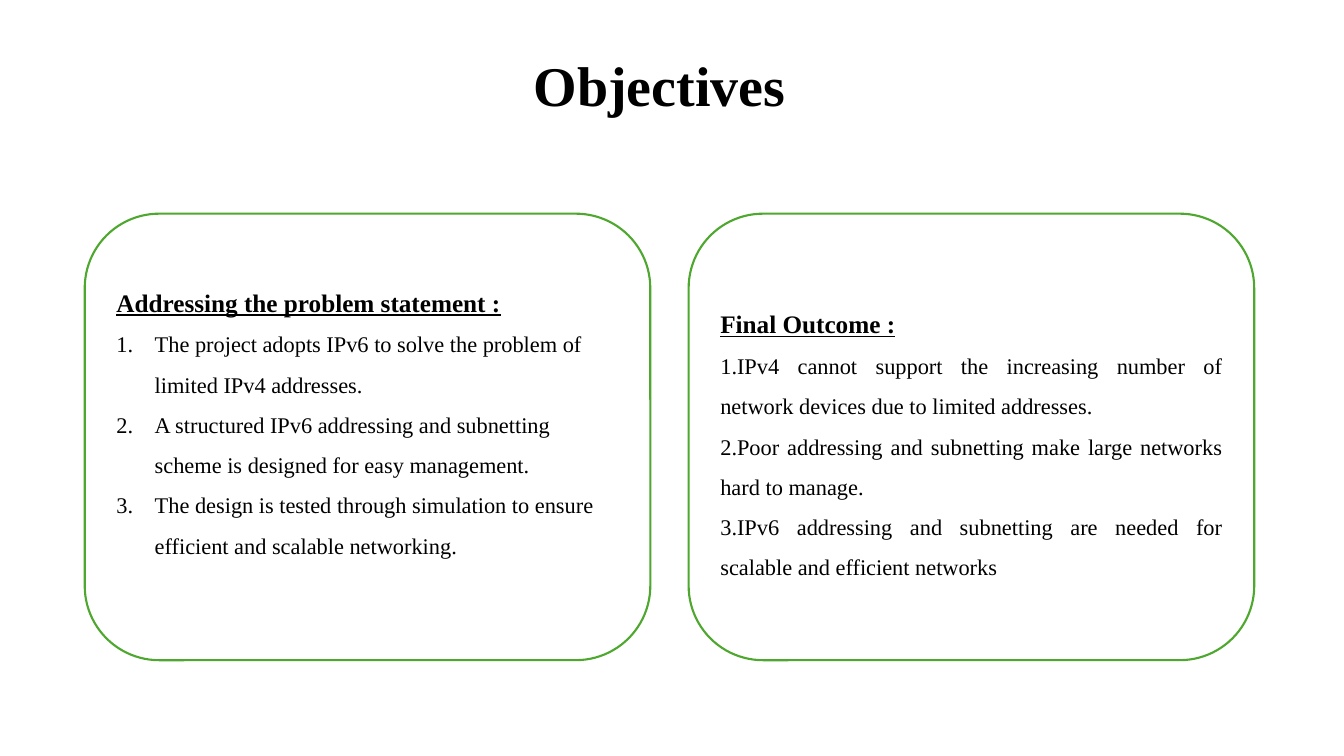
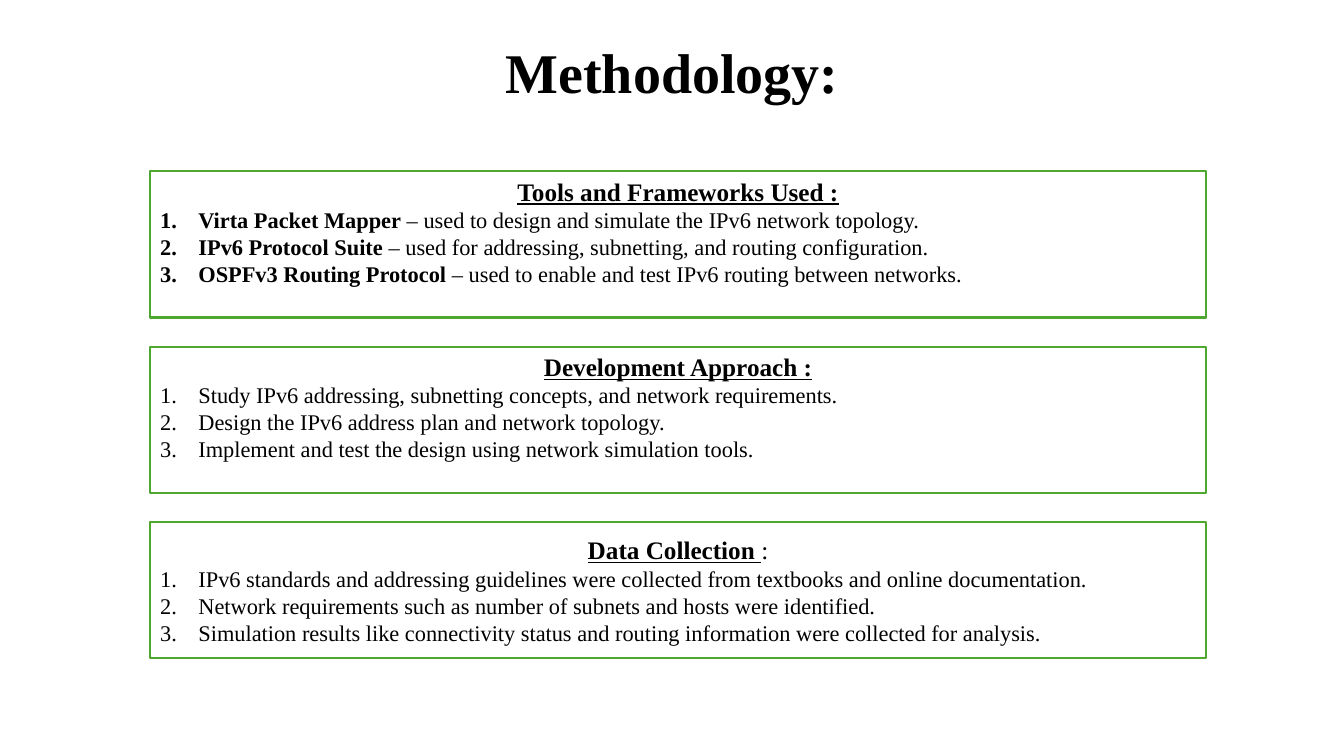
import pptx
import pptx.util
import pptx.dml.color
import pptx.enum.shapes
import pptx.enum.text
import pptx.oxml.ns
import lxml.etree

Inches, Pt = pptx.util.Inches, pptx.util.Pt
SHAPE = pptx.enum.shapes.MSO_SHAPE
ALIGN = pptx.enum.text.PP_ALIGN
ANCHOR = pptx.enum.text.MSO_ANCHOR

FONT = "Times New Roman"
COLORS = {"text": "000000", "panel": "FFFFFF", "border": "4EA72E"}
TITLE_SIZE, HEADING_SIZE, ITEM_SIZE = 40, 18, 16
SLIDE_W, SLIDE_H = 13.33, 7.5
HANGING = 0.38

# Content: a heading or an item is a list of (text, bold) runs
OBJECTIVES = [
    {"heading": [("Addressing the problem statement :", True)],
     "items": [
         [("The project adopts IPv6 to solve the problem of limited IPv4 addresses.", False)],
         [("A structured IPv6 addressing and subnetting scheme is designed for easy management.", False)],
         [("The design is tested through simulation to ensure efficient and scalable networking.", False)]],
     "align": ALIGN.LEFT, "hanging": HANGING, "bottom": 0.48},
    {"heading": [("Final Outcome :", True)],
     "items": [
         [("IPv4 cannot support the increasing number of network devices due to limited addresses.", False)],
         [("Poor addressing and subnetting make large networks hard to manage.", False)],
         [("IPv6 addressing and subnetting are needed for scalable and efficient networks", False)]],
     "align": ALIGN.JUSTIFY, "hanging": 0, "bottom": 0.05},
]
METHODOLOGY = [
    {"heading": [("Tools and Frameworks Used :", True)],
     "items": [
         [("Virta Packet Mapper", True), (" – used to design and simulate the IPv6 network topology.", False)],
         [("IPv6 Protocol Suite", True), (" – used for addressing, subnetting, and routing configuration.", False)],
         [("OSPFv3 Routing Protocol", True),
          (" – used to enable and test IPv6 routing between networks.", False)]],
     "height": 1.45, "bottom": 0.31},
    {"heading": [("Development Approach :", True)],
     "items": [
         [("Study IPv6 addressing, subnetting concepts, and network requirements.", False)],
         [("Design the IPv6 address plan and network topology.", False)],
         [("Implement and test the design using network simulation tools.", False)]],
     "height": 1.45, "bottom": 0.31},
    {"heading": [("Data Collection ", True), (":", False)],
     "items": [
         [("IPv6 standards and addressing guidelines were collected from textbooks and online documentation.", False)],
         [("Network requirements such as number of subnets and hosts were identified.", False)],
         [("Simulation results like connectivity status and routing information were collected for analysis.", False)]],
     "height": 1.35, "bottom": 0.05},
]

# Grids: left, top, step between panels
CARD_X, CARD_Y, CARD_W, CARD_H, CARD_STEP = 0.84, 2.12, 5.61, 4.43, 5.99
BAND_X, BAND_Y, BAND_W, BAND_STEP = 1.49, 1.7, 10.47, 1.74


def rgb(name):
    return pptx.dml.color.RGBColor.from_string(COLORS[name])


def add_runs(p, runs, size, underline=False):
    for text, bold in runs:
        r = p.add_run()
        r.text = text
        r.font.name, r.font.size, r.font.bold = FONT, Pt(size), bold
        r.font.underline = underline and bold
        r.font.color.rgb = rgb("text")


def number(p, hanging):
    pPr = p._p.get_or_add_pPr()
    pPr.set("marL", str(Inches(hanging)))
    pPr.set("indent", str(-Inches(hanging)))
    bullet = lxml.etree.SubElement(pPr, pptx.oxml.ns.qn("a:buAutoNum"))
    bullet.set("type", "arabicPeriod")
    return bullet


def add_title(s, text, center, top):
    width = 4.28
    box = s.shapes.add_textbox(Inches(center - width / 2), Inches(top), Inches(width), Inches(1.45))
    box.text_frame.word_wrap = True
    p = box.text_frame.paragraphs[0]
    p.alignment, p.line_spacing = ALIGN.CENTER, 0.9
    add_runs(p, [(text, True)], TITLE_SIZE)


def add_panel(s, kind, place, panel, heading_align, item_align, spacing, hanging):
    sp = s.shapes.add_shape(kind, *(Inches(v) for v in place))
    sp.shadow.inherit = False
    sp.fill.solid()
    sp.fill.fore_color.rgb = rgb("panel")
    sp.line.color.rgb = rgb("border")
    sp.line.width = Pt(1.5)
    tf = sp.text_frame
    tf.word_wrap, tf.vertical_anchor = True, ANCHOR.MIDDLE
    tf.margin_bottom = Inches(panel["bottom"])
    p = tf.paragraphs[0]
    p.alignment, p.line_spacing = heading_align, spacing
    add_runs(p, panel["heading"], HEADING_SIZE, underline=True)
    for i, item in enumerate(panel["items"], 1):
        p = tf.add_paragraph()
        p.alignment, p.line_spacing = item_align, spacing
        bullet = number(p, hanging)
        if not hanging:
            bullet.set("startAt", str(i))
        add_runs(p, item, ITEM_SIZE)


def main():
    prs = pptx.Presentation()
    prs.slide_width, prs.slide_height = Inches(SLIDE_W), Inches(SLIDE_H)
    blank = prs.slide_layouts[6]

    # Objectives: two rounded cards side by side
    s = prs.slides.add_slide(blank)
    add_title(s, "Objectives", 6.54, 0.53)
    for i, card in enumerate(OBJECTIVES):
        place = (CARD_X + i * CARD_STEP, CARD_Y, CARD_W, CARD_H)
        add_panel(s, SHAPE.ROUNDED_RECTANGLE, place, card,
                  card["align"], card["align"], 1.5, card["hanging"])

    # Methodology: three stacked bands
    s = prs.slides.add_slide(blank)
    add_title(s, "Methodology:", SLIDE_W / 2, 0.4)
    for i, band in enumerate(METHODOLOGY):
        place = (BAND_X, BAND_Y + i * BAND_STEP, BAND_W, band["height"])
        add_panel(s, SHAPE.RECTANGLE, place, band, ALIGN.CENTER, ALIGN.LEFT, 1.0, HANGING)

    prs.save("out.pptx")


if __name__ == "__main__":
    main()
